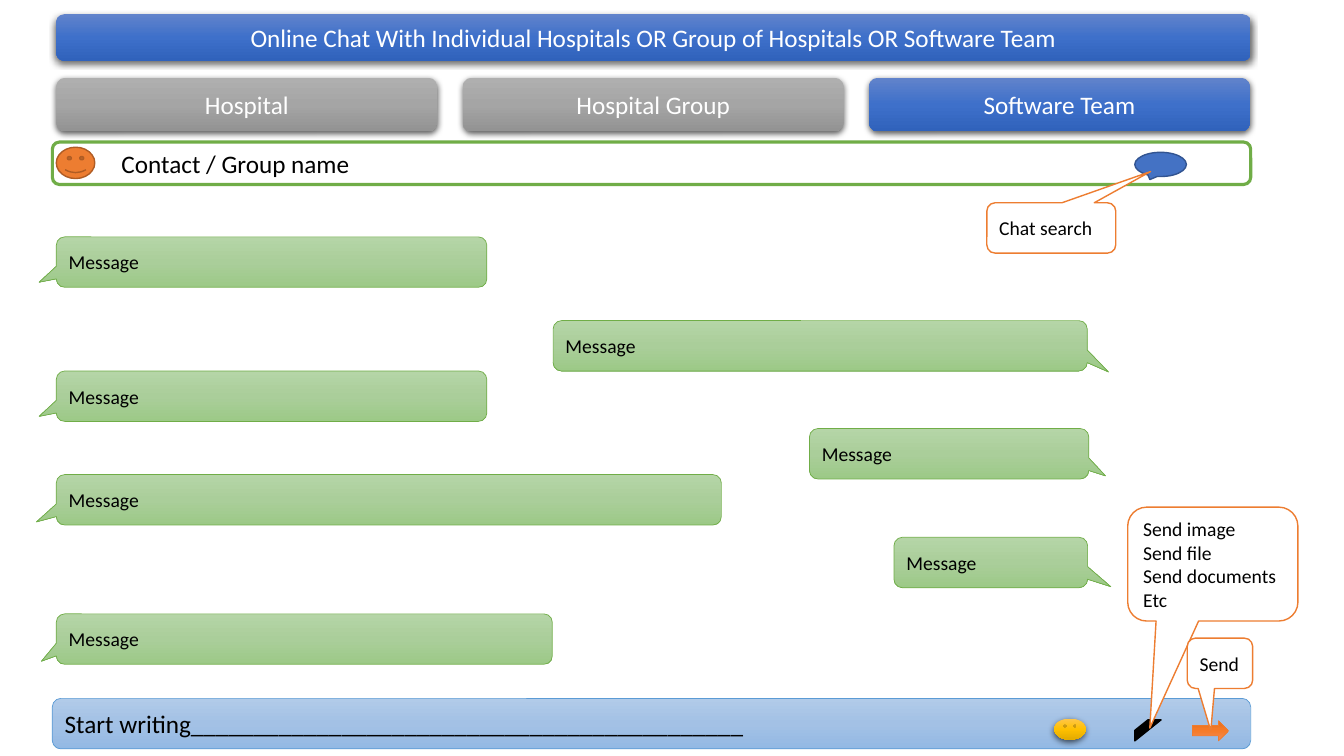
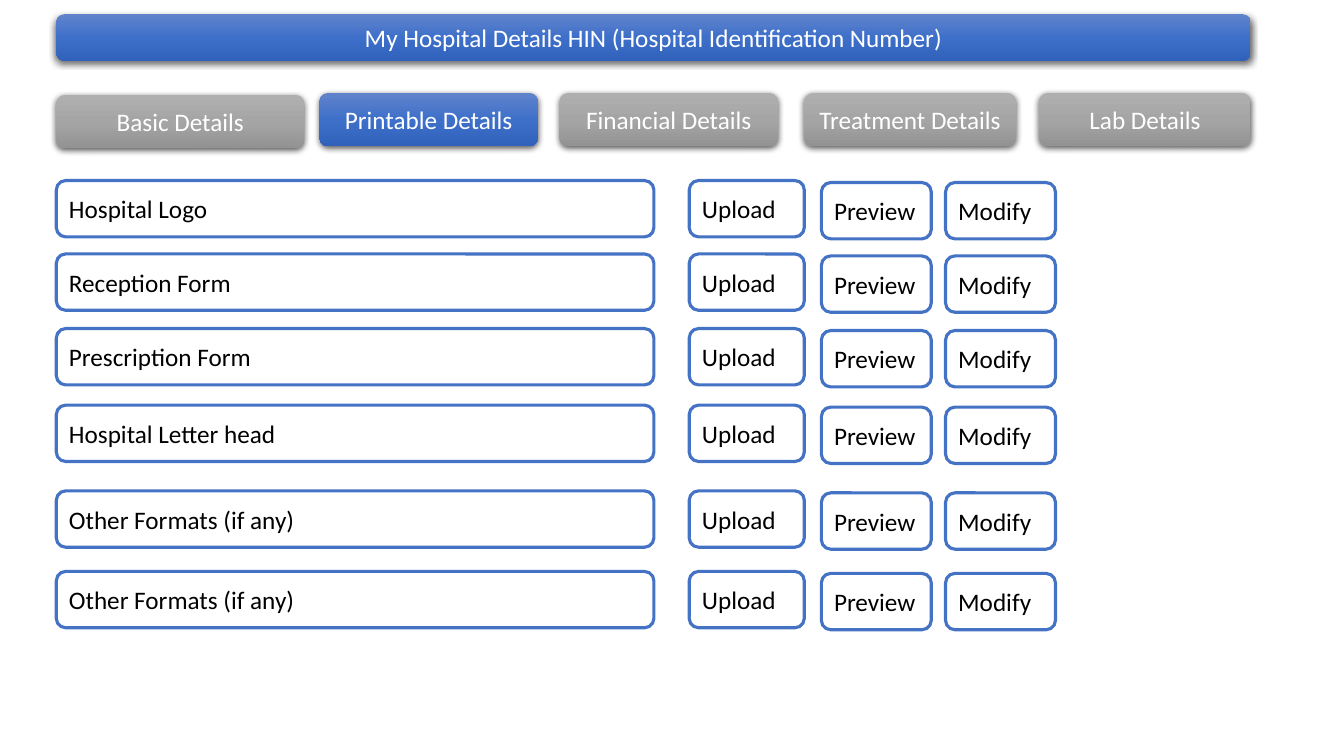
from copy import deepcopy
from dataclasses import dataclass

from lxml.etree import SubElement
from pptx import Presentation
from pptx.dml.color import RGBColor
from pptx.enum.shapes import MSO_SHAPE
from pptx.enum.text import MSO_ANCHOR, PP_ALIGN
from pptx.oxml.ns import qn
from pptx.util import Cm, Pt


@dataclass(frozen=True)
class Theme:
    font: str = "Calibri"
    heading_size: float = 18
    message_size: float = 14
    white: str = "FFFFFF"
    black: str = "000000"
    blue: str = "4472C4"
    dark_blue: str = "325491"
    pale_blue: str = "5B9BD5"
    green: str = "70AD47"
    orange: str = "ED7D31"
    dark_orange: str = "AF5C24"
    blue_gradient: tuple = ("6183CB", "3E70CA", "3062BB")
    grey_gradient: tuple = ("AFAFAF", "A5A5A5", "939393")
    pale_blue_gradient: tuple = ("B1CBE9", "A3C1E5", "93B9E4")
    green_gradient: tuple = ("B5D5A7", "AACE9A", "9CC987")
    orange_gradient: tuple = ("F18C57", "F67B28", "E56C19")
    yellow_gradient: tuple = ("FFC64B", "FFC000", "E3AB00")


THEME = Theme()
MARGIN = 1.42
CONTENT_WIDTH = 30.1
BAR_LEFT = 1.32
BAR_WIDTH = 30.2


def apply_format(target, values):
    for name, value in values.items():
        setattr(target, name, value)


class SlideBuilder:
    def __init__(self, presentation, theme):
        self.presentation = presentation
        self.theme = theme
        self.slide = None

    def new_slide(self, title):
        self.slide = self.presentation.slides.add_slide(self.presentation.slide_layouts[6])
        self.button(title, (MARGIN, 0.36, CONTENT_WIDTH, 1.17), active=True)

    def shape(self, kind, box, fill, line=None, line_width=1, shadow=False):
        shape = self.slide.shapes.add_shape(kind, *(Cm(length) for length in box))
        shape.shadow.inherit = False
        if isinstance(fill, tuple):
            self.gradient(shape, fill)
        else:
            shape.fill.solid()
            shape.fill.fore_color.rgb = RGBColor.from_string(fill)
        if line:
            shape.line.color.rgb = RGBColor.from_string(line)
            shape.line.width = Pt(line_width)
        else:
            shape.line.fill.background()
        if shadow:
            self.soft_shadow(shape)
        return shape

    def gradient(self, shape, colors):
        shape.fill.gradient()
        shape.fill.gradient_angle = 270
        stop_list = shape.element.spPr.find(qn("a:gradFill")).find(qn("a:gsLst"))
        stop_list.insert(1, deepcopy(stop_list[0]))
        for index, (stop, color) in enumerate(zip(shape.fill.gradient_stops, colors)):
            stop.position = index / (len(colors) - 1)
            stop.color.rgb = RGBColor.from_string(color)

    def soft_shadow(self, shape):
        effects = shape.element.spPr.find(qn("a:effectLst"))
        shadow = SubElement(effects, qn("a:outerShdw"), blurRad=str(Pt(4.5)), dist=str(Pt(1.5)),
                            dir="5400000", algn="ctr", rotWithShape="0")
        color = SubElement(shadow, qn("a:srgbClr"), val=self.theme.black)
        SubElement(color, qn("a:alpha"), val="63000")

    def add_text(self, shape, lines, size, color, alignment=PP_ALIGN.LEFT):
        frame = shape.text_frame
        apply_format(frame, {"word_wrap": True, "vertical_anchor": MSO_ANCHOR.MIDDLE})
        for index, line in enumerate(lines):
            paragraph = frame.add_paragraph() if index else frame.paragraphs[0]
            paragraph.text = line
            paragraph.alignment = alignment
            apply_format(paragraph.font, {"name": self.theme.font, "size": Pt(size)})
            paragraph.font.color.rgb = RGBColor.from_string(color)

    def button(self, text, box, active=False):
        fill = self.theme.blue_gradient if active else self.theme.grey_gradient
        shape = self.shape(MSO_SHAPE.ROUNDED_RECTANGLE, box, fill, shadow=True)
        self.add_text(shape, [text], self.theme.heading_size, self.theme.white, PP_ALIGN.CENTER)

    def field(self, text, box, line, fill=THEME.white, line_width=2.25, indent=0.25):
        shape = self.shape(MSO_SHAPE.ROUNDED_RECTANGLE, box, fill, line, line_width)
        self.add_text(shape, [text], self.theme.heading_size, self.theme.black)
        shape.text_frame.margin_left = Cm(indent)

    def callout(self, lines, box, tail, fill=THEME.white, line=THEME.orange, line_width=1):
        shape = self.shape(MSO_SHAPE.ROUNDED_RECTANGULAR_CALLOUT, box, fill, line, line_width)
        for index, value in enumerate(tail):
            shape.adjustments[index] = value
        self.add_text(shape, lines, self.theme.message_size, self.theme.black)

    def message(self, left, top, width, tail):
        self.callout(["Message"], (left, top, width, 1.27), tail,
                     self.theme.green_gradient, self.theme.green, 0.5)


def build_chat(builder):
    theme = builder.theme
    builder.new_slide("Online Chat With Individual Hospitals OR Group of Hospitals OR Software Team")
    for index, label in enumerate(["Hospital", "Hospital Group", "Software Team"]):
        builder.button(label, (MARGIN + index * 10.24, 1.96, 9.6, 1.35), label == "Software Team")

    builder.field("Start writing____________________________________________",
                  (BAR_LEFT, 17.6, BAR_WIDTH, 1.27), theme.pale_blue,
                  theme.pale_blue_gradient, 0.5)
    builder.shape(MSO_SHAPE.DIAGONAL_STRIPE, (28.6, 18.14, 0.66, 0.53), theme.black, theme.black)
    builder.callout(["Send image", "Send file", "Send documents", "Etc"],
                    (28.42, 12.78, 4.29, 2.87), (-0.37, 1.44))
    builder.field("Contact / Group name", (BAR_LEFT, 3.58, BAR_WIDTH, 1.07), theme.green, indent=1.69)
    send_arrow = builder.shape(MSO_SHAPE.LEFT_ARROW, (30.05, 18.16, 0.91, 0.51),
                               theme.orange_gradient, theme.orange, 0.5)
    send_arrow.rotation = 180
    builder.callout(["Send"], (29.92, 16.08, 1.65, 1.27), (-0.14, 1.34))
    builder.shape(MSO_SHAPE.SMILEY_FACE, (MARGIN, 3.71, 0.97, 0.79), theme.orange, theme.dark_orange)
    builder.shape(MSO_SHAPE.SMILEY_FACE, (26.57, 18.11, 0.79, 0.53), theme.yellow_gradient, shadow=True)

    messages = [
        (MARGIN, 5.97, 10.85, (-0.54, 0.4)),
        (13.94, 8.08, 13.46, (0.54, 0.52)),
        (MARGIN, 9.35, 10.85, (-0.54, 0.4)),
        (20.4, 10.8, 7.04, (0.56, 0.44)),
        (MARGIN, 11.96, 16.76, (-0.53, 0.44)),
        (22.53, 13.54, 4.88, (0.62, 0.48)),
        (MARGIN, 15.47, 12.5, (-0.53, 0.44)),
    ]
    for message in messages:
        builder.message(*message)

    builder.shape(MSO_SHAPE.OVAL_CALLOUT, (28.6, 3.84, 1.3, 0.61), theme.blue, theme.dark_blue)
    builder.callout(["Chat search"], (24.87, 5.11, 3.25, 1.27), (0.77, -1.12))


def build_details(builder):
    builder.new_slide("My Hospital Details HIN (Hospital Identification Number)")
    tabs = [
        ("Basic Details", MARGIN, 2.39, 6.25),
        ("Printable Details", 8.05, 2.34, 5.51),
        ("Financial Details", 14.1, 2.34, 5.51),
        ("Treatment Details", 20.27, 2.34, 5.33),
        ("Lab Details", 26.19, 2.34, 5.33),
    ]
    for label, left, top, width in tabs:
        builder.button(label, (left, top, width, 1.35), label == "Printable Details")

    rows = [
        ("Hospital Logo", 4.55),
        ("Reception Form", 6.4),
        ("Prescription Form", 8.28),
        ("Hospital Letter head", 10.21),
        ("Other Formats (if any)", 12.37),
        ("Other Formats (if any)", 14.4),
    ]
    actions = [("Upload", 17.37, 0, 2.9), ("Preview", 20.7, 0.05, 2.77), ("Modify", 23.83, 0.05, 2.77)]
    for name, top in rows:
        for label, left, drop, width in [(name, MARGIN, 0, 15.06), *actions]:
            builder.field(label, (left, top + drop, width, 1.42), builder.theme.blue)


def main():
    presentation = Presentation()
    apply_format(presentation, {"slide_width": Cm(33.87), "slide_height": Cm(19.05)})
    builder = SlideBuilder(presentation, THEME)
    build_chat(builder)
    build_details(builder)
    presentation.save("out.pptx")


if __name__ == "__main__":
    main()
